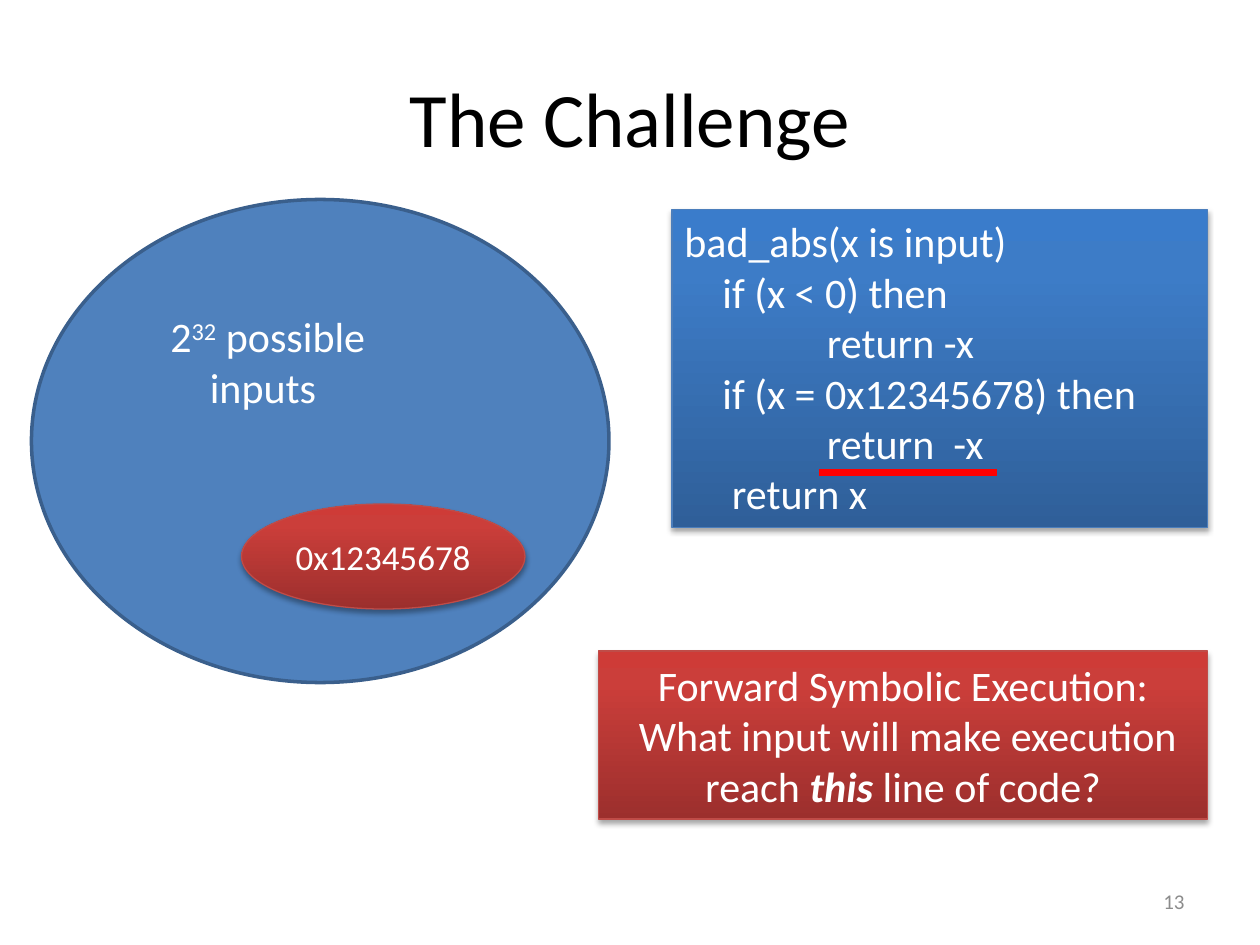
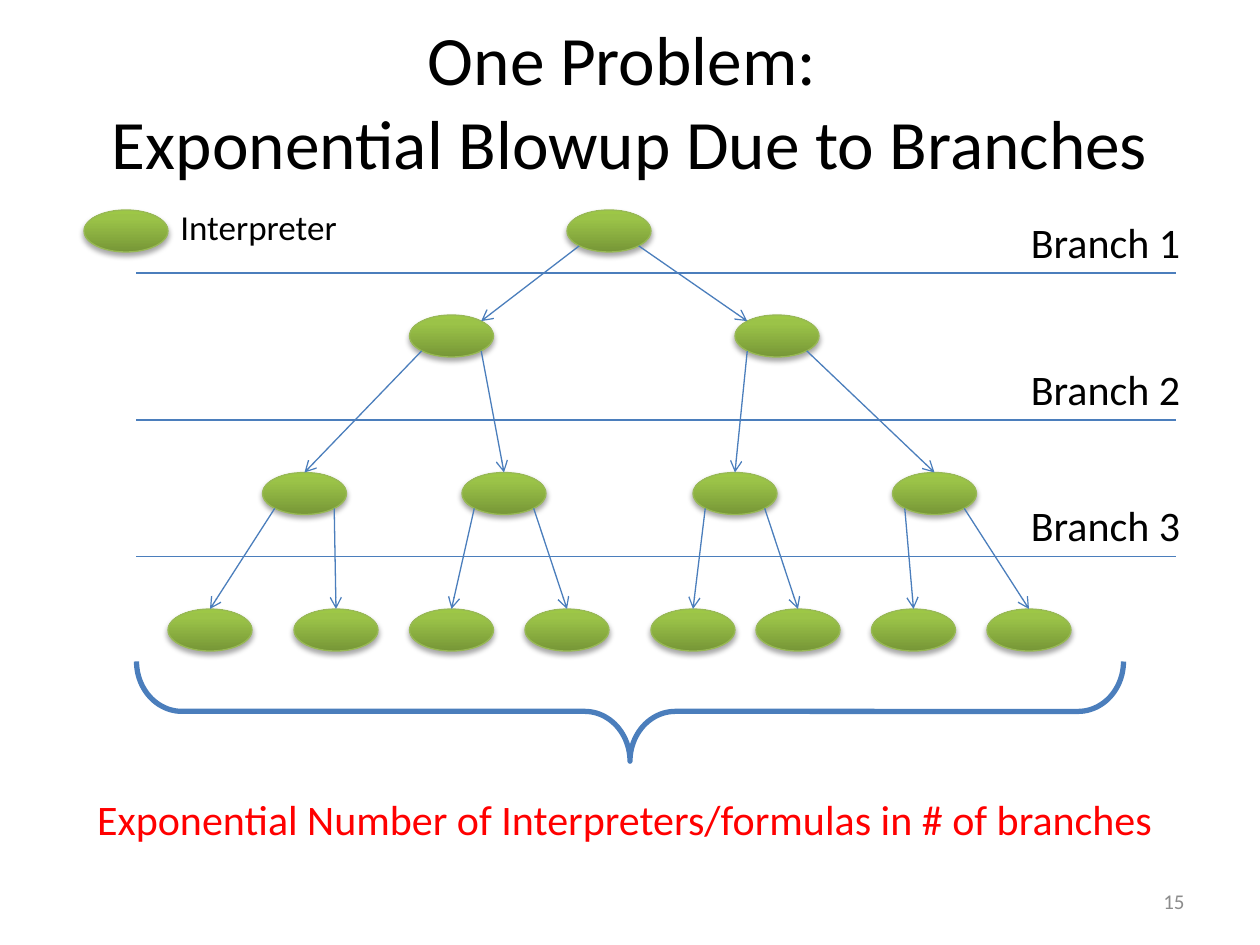
import copy
import math

import lxml.etree
import pptx
import pptx.dml.color
import pptx.enum.dml
import pptx.enum.shapes
import pptx.enum.text
import pptx.oxml.ns
import pptx.util

Pt = pptx.util.Pt
RGB = pptx.dml.color.RGBColor
qn = pptx.oxml.ns.qn
SHAPE = pptx.enum.shapes.MSO_SHAPE
STRAIGHT = pptx.enum.shapes.MSO_CONNECTOR.STRAIGHT
LEFT, CENTER, RIGHT = (pptx.enum.text.PP_ALIGN.LEFT, pptx.enum.text.PP_ALIGN.CENTER,
                       pptx.enum.text.PP_ALIGN.RIGHT)
TOP, MIDDLE = pptx.enum.text.MSO_ANCHOR.TOP, pptx.enum.text.MSO_ANCHOR.MIDDLE

FONT = "Calibri"
BLACK, WHITE = RGB(0, 0, 0), RGB(255, 255, 255)
GREY, RED = RGB(0x8C, 0x8C, 0x8C), RGB(255, 0, 0)
FLAT_BLUE, FLAT_BLUE_EDGE = RGB(0x4F, 0x81, 0xBD), RGB(0x3A, 0x5F, 0x8C)
LINE_BLUE = RGB(0x4B, 0x7E, 0xBC)

# Each glossy look: gradient from bottom to top, then the outline
GRADIENT_POSITIONS = (0, 0.8, 1)
GLOSSY_BLUE = ((RGB(0x2F, 0x5F, 0x99), RGB(0x3D, 0x7C, 0xC7), RGB(0x3A, 0x7C, 0xCB)), LINE_BLUE)
GLOSSY_RED = ((RGB(0x9C, 0x2F, 0x2D), RGB(0xCB, 0x3E, 0x3A), RGB(0xCE, 0x3B, 0x37)),
              RGB(0xBF, 0x4C, 0x48))
GLOSSY_GREEN = ((RGB(0x77, 0x97, 0x37), RGB(0x9B, 0xC3, 0x48), RGB(0x9D, 0xC7, 0x46)),
                RGB(0x98, 0xB9, 0x55))

# Slide 1: code lines with their indents
CODE = [
    ("bad_abs(x is input)", 0),
    ("if (x < 0) then", 21.7),
    ("return -x", 81.4),
    ("if (x = 0x12345678) then", 21.7),
    ("return  -x", 81.4),
    ("return x", 27.1),
]
INPUT_COUNT = [("2", ""), ("32", "super"), (" possible inputs ", "")]
QUESTION = [("Forward Symbolic Execution:", ""), ("\v", ""),
            (" What input will make execution reach ", ""),
            ("this ", "strong"), ("line of code?", "")]

# Slide 2: top of each tree level and the left edges of its nodes
LEVELS = [
    (120, (324,)),
    (180, (234, 420)),
    (270, (150, 264, 396, 510)),
    (348, (96, 168, 234, 300, 372, 432, 498, 564)),
]
NODE_W, NODE_H = 48, 24
BRANCHES = [("Branch 1", 156), ("Branch 2", 240), ("Branch 3", 318)]


def write(shape, paragraphs, size, color, align=LEFT, anchor=TOP):
    """Fill a shape with paragraphs, each a string or a list of (text, style) runs."""
    frame = shape.text_frame
    frame.word_wrap = True
    frame.vertical_anchor = anchor
    for i, content in enumerate(paragraphs):
        paragraph = frame.add_paragraph() if i else frame.paragraphs[0]
        paragraph.alignment = align
        font = paragraph.font
        font.name, font.size, font.color.rgb = FONT, Pt(size), color
        if isinstance(content, str):
            paragraph.text = content
            continue
        for text, style in content:
            if text == "\v":
                paragraph.add_line_break()
                continue
            run = paragraph.add_run()
            run.text = text
            if style == "strong":
                run.font.bold = run.font.italic = True
            elif style == "super":
                run._r.get_or_add_rPr().set("baseline", "30000")


def add_text(slide, box, paragraphs, size, color=BLACK, align=LEFT, anchor=TOP):
    write(slide.shapes.add_textbox(*map(Pt, box)), paragraphs, size, color, align, anchor)


def add_outlined(slide, kind, box, color, width):
    shape = slide.shapes.add_shape(kind, *map(Pt, box))
    shape.shadow.inherit = False
    shape.line.color.rgb = color
    shape.line.width = Pt(width)
    return shape


def add_glossy(slide, kind, box, look):
    """Add a shape with a vertical gradient and a soft shadow below it."""
    colors, edge = look
    shape = add_outlined(slide, kind, box, edge, 0.75)
    shape.fill.gradient()
    shape.fill.gradient_angle = 90
    properties = shape._element.spPr
    stops = properties.find(".//" + qn("a:gsLst"))
    stops.insert(1, copy.deepcopy(stops[0]))
    for stop, position, color in zip(shape.fill.gradient_stops, GRADIENT_POSITIONS, colors):
        stop.position = position
        stop.color.rgb = color
    shadow = lxml.etree.SubElement(
        properties.find(qn("a:effectLst")), qn("a:outerShdw"),
        blurRad=str(Pt(3.1)), dist=str(Pt(1.8)), dir="5400000", rotWithShape="0")
    black = lxml.etree.SubElement(shadow, qn("a:srgbClr"), val="000000")
    lxml.etree.SubElement(black, qn("a:alpha"), val="35000")
    return shape


def add_line(slide, start, end, color=LINE_BLUE, width=0.75, arrow=False):
    line = slide.shapes.add_connector(STRAIGHT, *map(Pt, (*start, *end)))
    line.line.color.rgb = color
    line.line.width = Pt(width)
    if arrow:
        lxml.etree.SubElement(line.line._get_or_add_ln(), qn("a:tailEnd"), type="arrow")
    lxml.etree.SubElement(line._element.spPr, qn("a:effectLst"))
    return line


def add_slide(deck, title, title_top, title_size, number):
    slide = deck.slides.add_slide(deck.slide_layouts[6])
    add_text(slide, (36, title_top, 648, 90), [title], title_size, BLACK, CENTER, MIDDLE)
    add_text(slide, (516, 500.5, 168, 28.75), [number], 12, GREY, RIGHT, MIDDLE)
    return slide


def build_challenge(deck):
    slide = add_slide(deck, "The Challenge", 21.6, 44, "13")

    all_inputs = add_outlined(slide, SHAPE.OVAL, (18, 114, 330, 276), FLAT_BLUE_EDGE, 2)
    all_inputs.fill.solid()
    all_inputs.fill.fore_color.rgb = FLAT_BLUE
    bad_input = add_glossy(slide, SHAPE.OVAL, (138, 288, 162, 60), GLOSSY_RED)
    write(bad_input, ["0x12345678"], 20, WHITE, CENTER, MIDDLE)
    add_text(slide, (78, 174, 150, 65.5), [INPUT_COUNT], 24, WHITE, CENTER)

    code = add_glossy(slide, SHAPE.RECTANGLE, (384, 119.75, 306, 181.5), GLOSSY_BLUE)
    write(code, [text for text, _ in CODE], 24, WHITE)
    for paragraph, (_, indent) in zip(code.text_frame.paragraphs, CODE):
        paragraph._p.get_or_add_pPr().set("marL", str(Pt(indent)))

    question = add_glossy(slide, SHAPE.RECTANGLE, (342, 372, 348, 96), GLOSSY_RED)
    write(question, [QUESTION], 24, WHITE, CENTER, MIDDLE)
    add_line(slide, (468, 270), (570, 270), RED, 3.5)


def add_tree(slide):
    """Draw all nodes, then an arrow from each parent to its two children."""
    levels = [[add_glossy(slide, SHAPE.OVAL, (left, top, NODE_W, NODE_H), GLOSSY_GREEN)
               for left in lefts] for top, lefts in LEVELS]
    corner_x = NODE_W / 2 * math.sqrt(0.5)
    corner_y = NODE_H / 2 * math.sqrt(0.5)
    for depth in range(1, len(LEVELS)):
        parent_top, parent_lefts = LEVELS[depth - 1]
        child_top, child_lefts = LEVELS[depth]
        for i, child_left in enumerate(child_lefts):
            side = 1 if i % 2 else -1
            start = (parent_lefts[i // 2] + NODE_W / 2 + side * corner_x,
                     parent_top + NODE_H / 2 + corner_y)
            child_x = child_left + NODE_W / 2
            if depth == 1:
                end = (child_x - side * corner_x, child_top + NODE_H / 2 - corner_y)
                add_line(slide, start, end, arrow=True)
            else:
                arrow = add_line(slide, start, (child_x, child_top), arrow=True)
                arrow.end_connect(levels[depth][i], 0)


def build_blowup(deck):
    slide = add_slide(deck, "One Problem: \vExponential Blowup Due to Branches",
                      12, 39.6, "15")
    add_tree(slide)
    for label, y in BRANCHES:
        add_text(slide, (582, y - 36, 108, 36), [label], 24)
        add_line(slide, (78, y), (672, y))

    brace = add_outlined(slide, SHAPE.RIGHT_BRACE, (331.5, 124.5, 57, 564), LINE_BLUE, 3)
    brace.fill.background()
    brace.rotation = 90
    brace.adjustments[0], brace.adjustments[1] = 0.455, 0.5
    add_text(slide, (18, 450, 678, 36),
             ["Exponential Number of Interpreters/formulas in # of branches"], 24, RED, CENTER)

    add_glossy(slide, SHAPE.OVAL, (48, 120, NODE_W, NODE_H), GLOSSY_GREEN)
    add_text(slide, (96, 114, 144, 31.5), ["Interpreter"], 20)


def main():
    deck = pptx.Presentation()
    deck.slide_width, deck.slide_height = Pt(720), Pt(540)
    build_challenge(deck)
    build_blowup(deck)
    deck.save("out.pptx")


if __name__ == "__main__":
    main()
